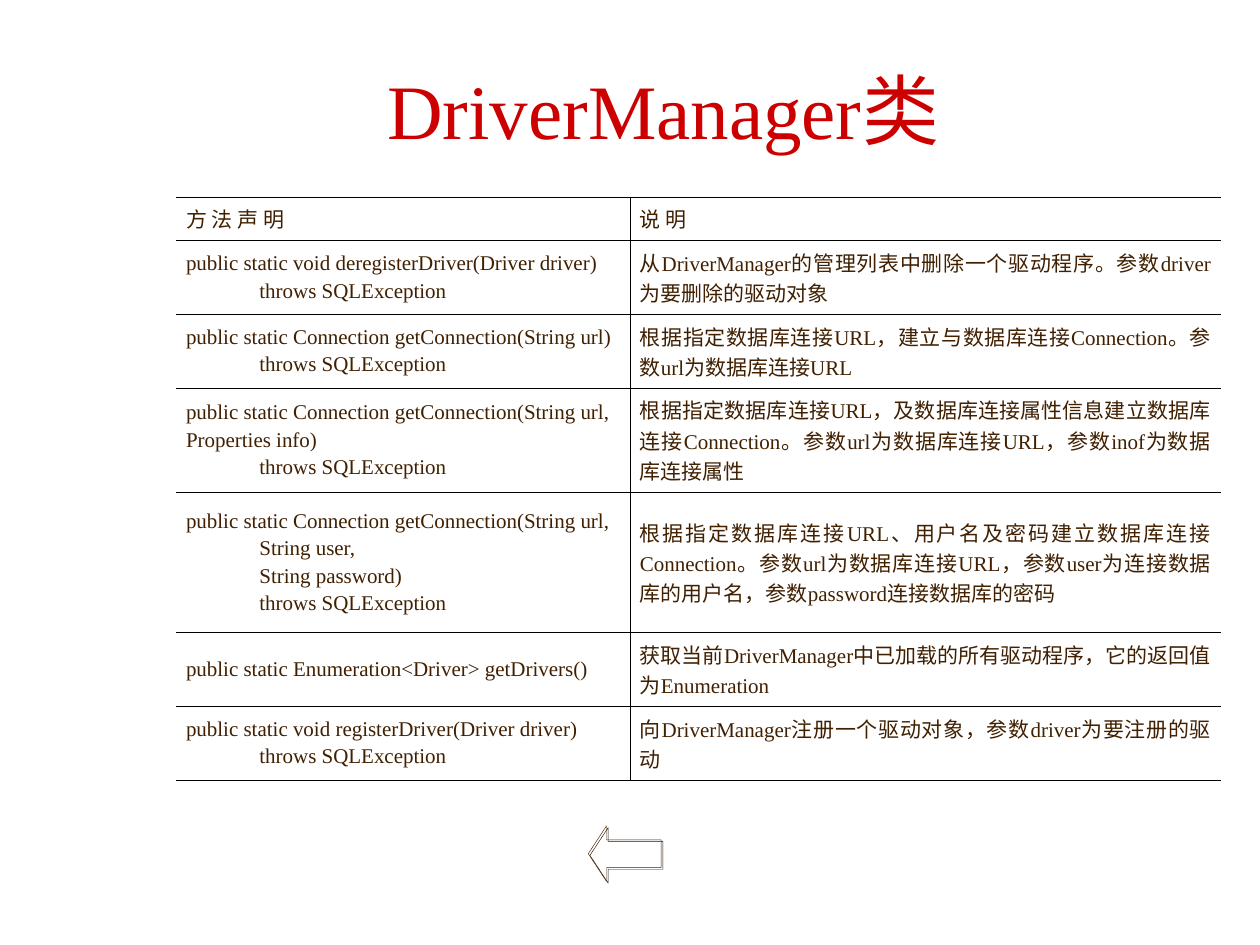
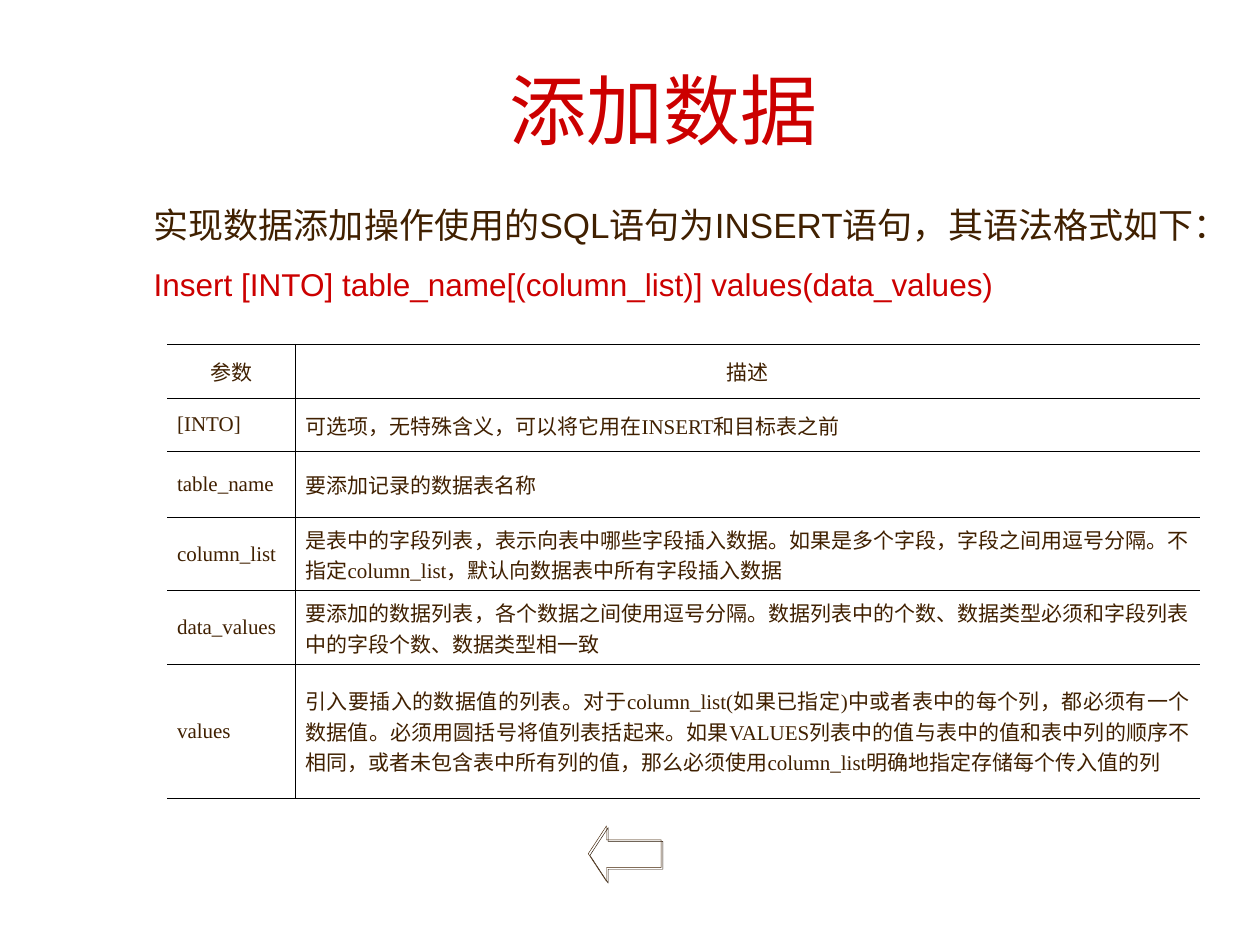
from lxml.etree import SubElement
from pptx import Presentation
from pptx.dml.color import RGBColor
from pptx.enum.shapes import MSO_SHAPE as Shape
from pptx.enum.text import MSO_ANCHOR as Anchor, MSO_AUTO_SIZE as Auto, PP_ALIGN as Align
from pptx.oxml.ns import qn
from pptx.util import Cm, Pt

HUES = {"red": "CC0000", "brown": "402000", "shade": "261300", "rule": "000000"}
SERIF, SANS = "Times New Roman", "Arial"
TITLE = (2.55, 0.79, 21.64, 2.82)
BACK = (11.86, 16.65, 1.47, 1.12)

CALLS = [
    ("方 法 声 明", "说 明"),
    ("public static void deregisterDriver(Driver driver)\n"
     "              throws SQLException",
     "从DriverManager的管理列表中删除一个驱动程序。参数driver为要删除的驱动对象"),
    ("public static Connection getConnection(String url)\n"
     "              throws SQLException",
     "根据指定数据库连接URL，建立与数据库连接Connection。参数url为数据库连接URL"),
    ("public static Connection getConnection(String url,\n"
     "Properties info)\n"
     "              throws SQLException",
     "根据指定数据库连接URL，及数据库连接属性信息建立数据库连接Connection。"
     "参数url为数据库连接URL，参数inof为数据库连接属性"),
    ("public static Connection getConnection(String url,\n"
     "              String user,\n"
     "              String password)\n"
     "              throws SQLException",
     "根据指定数据库连接URL、用户名及密码建立数据库连接Connection。"
     "参数url为数据库连接URL，参数user为连接数据库的用户名，参数password连接数据库的密码"),
    ("public static Enumeration<Driver> getDrivers()",
     "获取当前DriverManager中已加载的所有驱动程序，它的返回值为Enumeration"),
    ("public static void registerDriver(Driver driver)\n"
     "              throws SQLException",
     "向DriverManager注册一个驱动对象，参数driver为要注册的驱动"),
]
PARAMS = [
    ("参数", "描述"),
    ("[INTO]", "可选项，无特殊含义，可以将它用在INSERT和目标表之前"),
    ("table_name", "要添加记录的数据表名称"),
    ("column_list",
     "是表中的字段列表，表示向表中哪些字段插入数据。如果是多个字段，字段之间用逗号分隔。"
     "不指定column_list，默认向数据表中所有字段插入数据"),
    ("data_values",
     "要添加的数据列表，各个数据之间使用逗号分隔。"
     "数据列表中的个数、数据类型必须和字段列表中的字段个数、数据类型相一致"),
    ("values",
     "引入要插入的数据值的列表。对于column_list(如果已指定)中或者表中的每个列，都必须有一个数据值。"
     "必须用圆括号将值列表括起来。如果VALUES列表中的值与表中的值和表中列的顺序不相同，"
     "或者未包含表中所有列的值，那么必须使用column_list明确地指定存储每个传入值的列"),
]
SYNTAX = [
    ("实现数据添加操作使用的SQL语句为INSERT语句，其语法格式如下：", 20, "brown"),
    ("Insert [INTO] table_name[(column_list)] values(data_values)", 18, "red"),
]


def style(para, size, hue, face, align=None):
    """Format one paragraph."""
    para.alignment = align
    font = para.font
    font.size, font.name = Pt(size), face
    font.color.rgb = RGBColor.from_string(HUES[hue])


def add_title(slide, text, box):
    """Fill and place the title placeholder."""
    shape = slide.shapes.title
    shape.left, shape.top, shape.width, shape.height = map(Cm, box)
    frame = shape.text_frame
    frame.text = text
    frame.vertical_anchor, frame.auto_size = Anchor.MIDDLE, Auto.NONE
    style(frame.paragraphs[0], 44, "red", SERIF, Align.CENTER)


def add_back(slide, box):
    """Draw the hollow back arrow with its hard shadow."""
    arrow = slide.shapes.add_shape(Shape.LEFT_ARROW, *map(Cm, box))
    arrow.adjustments[0], arrow.adjustments[1] = 0.5, 0.328
    arrow.fill.background()
    arrow.line.color.rgb = RGBColor.from_string(HUES["brown"])
    arrow.line.width = Pt(0.25)
    arrow.shadow.inherit = False
    effects = arrow._element.spPr.find(qn("a:effectLst"))
    shadow = SubElement(effects, qn("a:outerShdw"), dist=str(Pt(1.4)),
                        dir="2700000", algn="ctr", rotWithShape="0")
    SubElement(shadow, qn("a:srgbClr"), val=HUES["shade"])


def add_rules(cell, sides):
    """Rule the named sides of a cell and clear the others."""
    props = cell._tc.get_or_add_tcPr()
    for side in "LRTB":
        line = SubElement(props, qn("a:ln" + side), w=str(Pt(0.45)))
        if side in sides:
            fill = SubElement(line, qn("a:solidFill"))
            SubElement(fill, qn("a:srgbClr"), val=HUES["rule"])
        else:
            SubElement(line, qn("a:noFill"))
    cell.fill.background()


def fill_cell(cell, text, align):
    """Write the lines of one table cell."""
    cell.margin_left = cell.margin_right = Cm(0.2)
    cell.margin_top = cell.margin_bottom = Cm(0.13)
    cell.vertical_anchor = Anchor.MIDDLE
    cell.text = text
    for i, para in enumerate(cell.text_frame.paragraphs):
        para.space_before = Pt(1.2 if i else 0)
        para.space_after = Pt(1.2)
        style(para, 12, "brown", SERIF, align)


def add_grid(slide, rows, spot, widths, heights, head):
    """Build a two-column table with open outer sides."""
    size = (sum(widths), sum(heights))
    table = slide.shapes.add_table(len(rows), len(widths), *map(Cm, spot + size)).table
    table.first_row = table.horz_banding = False
    for col, width in zip(table.columns, widths):
        col.width = Cm(width)
    for r, (row, height) in enumerate(zip(rows, heights)):
        table.rows[r].height = Cm(height)
        for c, text in enumerate(row):
            cell = table.cell(r, c)
            add_rules(cell, "LTB" if c else "RTB")
            fill_cell(cell, text, Align.JUSTIFY if r else head)


def add_syntax(slide, box):
    """Write the statement and its syntax line."""
    frame = slide.shapes.add_textbox(*map(Cm, box)).text_frame
    frame.word_wrap = True
    for i, (text, size, hue) in enumerate(SYNTAX):
        para = frame.add_paragraph() if i else frame.paragraphs[0]
        para.text = text
        para.space_before = Pt(11.2 if i else 0)
        style(para, size, hue, SANS, Align.LEFT)


def add_page(deck, title):
    """Start a slide with the shared title and back arrow."""
    slide = deck.slides.add_slide(deck.slide_layouts[5])
    add_title(slide, title, TITLE)
    add_back(slide, BACK)
    return slide


def main():
    """Build and save both slides."""
    deck = Presentation()
    deck.slide_width, deck.slide_height = Cm(25.4), Cm(19.05)
    page = add_page(deck, "DriverManager类")
    add_grid(page, CALLS, (3.55, 3.97), (9.15, 11.91),
             (0.87, 1.48, 1.48, 2.1, 2.82, 1.48, 1.48), Align.JUSTIFY)
    page = add_page(deck, "添加数据")
    add_syntax(page, (2.85, 3.97, 21.74, 3.12))
    add_grid(page, PARAMS, (3.37, 6.94), (2.59, 18.23),
             (1.09, 1.07, 1.33, 1.48, 1.48, 2.7), Align.CENTER)
    deck.save("out.pptx")


if __name__ == "__main__":
    main()
